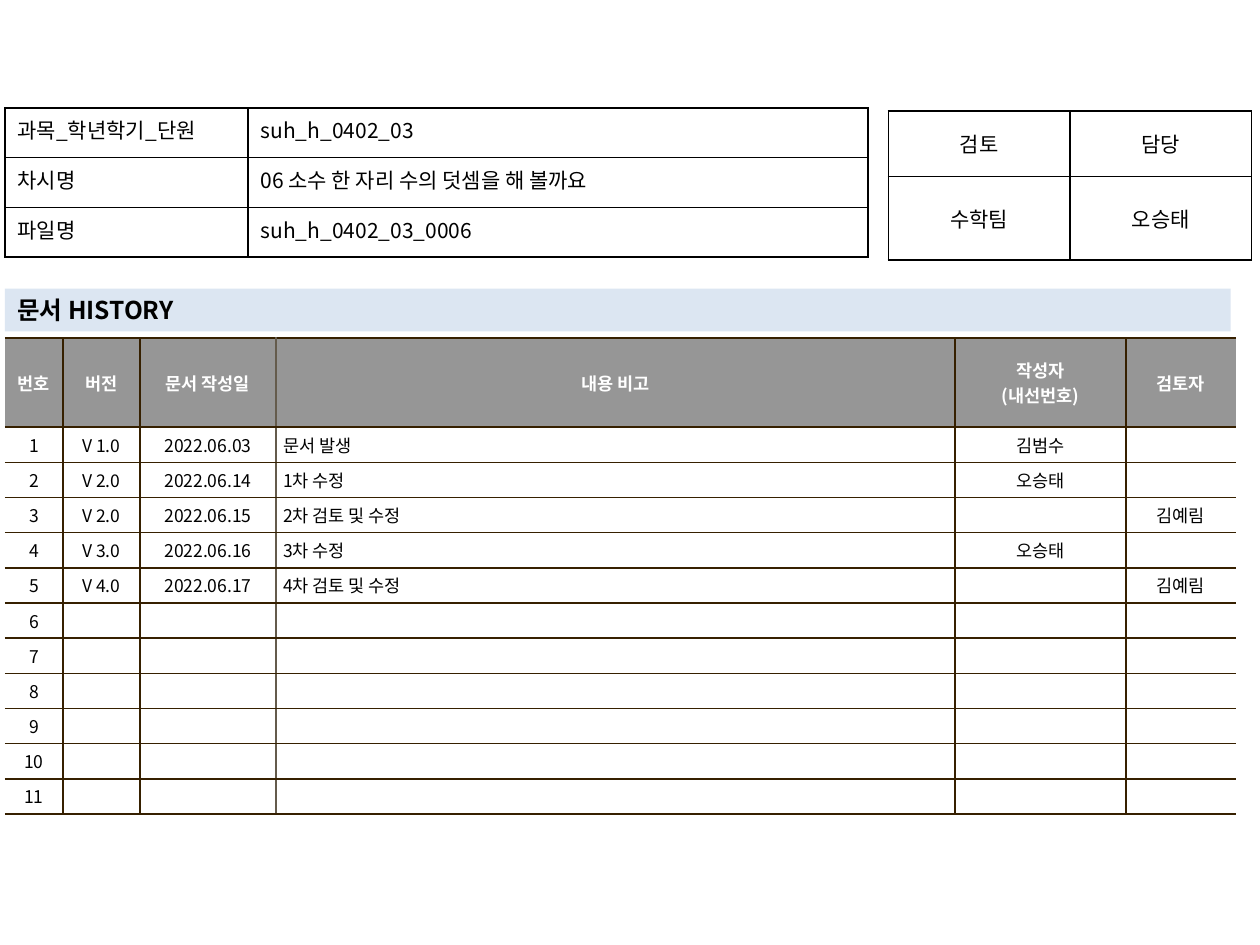
from lxml.etree import SubElement
from pptx import Presentation
from pptx.dml.color import RGBColor
from pptx.enum.shapes import MSO_SHAPE as Shape
from pptx.enum.text import MSO_ANCHOR as Anchor, PP_ALIGN as Align
from pptx.oxml.ns import qn
from pptx.util import Cm, Pt

FONT = "Noto Sans CJK KR"
BLACK = RGBColor(0x00, 0x00, 0x00)
WHITE = RGBColor(0xFF, 0xFF, 0xFF)
GRAY = RGBColor(0x96, 0x96, 0x96)
PALE_BLUE = RGBColor(0xDC, 0xE6, 0xF2)
BROWN = RGBColor(0x36, 0x20, 0x00)
TAUPE = RGBColor(0x64, 0x5B, 0x4C)

INFO = [
    ("과목_학년학기_단원", "suh_h_0402_03"),
    ("차시명", "06 소수 한 자리 수의 덧셈을 해 볼까요"),
    ("파일명", "suh_h_0402_03_0006"),
]
REVIEW = [("검토", "담당"), ("수학팀", "오승태")]
HEADINGS = ("번호", "버전", "문서 작성일", "내용 비고", "작성자\n(내선번호)", "검토자")
REVISIONS = [
    ("V 1.0", "2022.06.03", "문서 발생", "김범수", ""),
    ("V 2.0", "2022.06.14", "1차 수정", "오승태", ""),
    ("V 2.0", "2022.06.15", "2차 검토 및 수정", "", "김예림"),
    ("V 3.0", "2022.06.16", "3차 수정", "오승태", ""),
    ("V 4.0", "2022.06.17", "4차 검토 및 수정", "", "김예림"),
]
HISTORY_ROWS = 11


def write(frame, text, size=12, color=BLACK, bold=False, align=Align.LEFT):
    for index, line in enumerate(text.split("\n")):
        paragraph = frame.add_paragraph() if index else frame.paragraphs[0]
        paragraph.alignment = align
        if not line:
            SubElement(paragraph._p, qn("a:endParaRPr"), sz=str(size * 100))
            continue
        run = paragraph.add_run()
        run.text = line
        run.font.size = Pt(size)
        run.font.bold = bold
        run.font.name = FONT
        run.font.color.rgb = color
        SubElement(run._r.get_or_add_rPr(), qn("a:ea"), typeface=FONT)


def set_borders(cell, left, right, top, bottom):
    properties = cell._tc.get_or_add_tcPr()
    for side, color in zip("LRTB", (left, right, top, bottom)):
        line = SubElement(properties, qn(f"a:ln{side}"), w=str(Pt(1)))
        if color is None:
            SubElement(line, qn("a:noFill"))
        else:
            fill = SubElement(line, qn("a:solidFill"))
            SubElement(fill, qn("a:srgbClr"), val=str(color))


def add_grid(slide, left, top, widths, heights):
    grid = slide.shapes.add_table(
        len(heights), len(widths), Cm(left), Cm(top), Cm(sum(widths)), Cm(sum(heights))
    ).table
    grid.first_row = grid.horz_banding = False
    for column, width in zip(grid.columns, widths):
        column.width = Cm(width)
    for row, height in zip(grid.rows, heights):
        row.height = Cm(height)
    return grid


def add_black_grid(slide, left, top, widths, heights, content, aligns, anchor):
    grid = add_grid(slide, left, top, widths, heights)
    for r, texts in enumerate(content):
        for c, text in enumerate(texts):
            cell = grid.cell(r, c)
            set_borders(cell, BLACK, BLACK, BLACK, BLACK)
            cell.fill.background()
            cell.vertical_anchor = anchor
            write(cell.text_frame, text, align=aligns[c])


def add_info(slide, left, top, width, height):
    label_width = 4.9
    add_black_grid(slide, left, top, [label_width, width - label_width],
                   [height / len(INFO)] * len(INFO), INFO,
                   (Align.JUSTIFY, Align.LEFT), Anchor.TOP)


def add_review(slide, left, top, width, height):
    heading_height = 1.32
    add_black_grid(slide, left, top, [width / 2] * 2,
                   [heading_height, height - heading_height], REVIEW,
                   (Align.CENTER, Align.CENTER), Anchor.MIDDLE)


def add_banner(slide, left, top, width, height):
    banner = slide.shapes.add_shape(
        Shape.RECTANGLE, Cm(left), Cm(top), Cm(width), Cm(height))
    banner.shadow.inherit = False
    banner.fill.solid()
    banner.fill.fore_color.rgb = PALE_BLUE
    banner.line.fill.background()
    banner.text_frame.word_wrap = True
    banner.text_frame.vertical_anchor = Anchor.MIDDLE
    write(banner.text_frame, "문서 HISTORY", size=14, bold=True)


def add_history(slide, left, top, width, height):
    widths = [1.17, 1.55, 2.74, 13.69, 3.45]
    widths.append(width - sum(widths))
    heading_height = 1.8
    row_height = (height - heading_height) / HISTORY_ROWS
    grid = add_grid(slide, left, top, widths,
                    [heading_height] + [row_height] * HISTORY_ROWS)
    unused = [("",) * 5] * (HISTORY_ROWS - len(REVISIONS))
    entries = [(str(number), *entry)
               for number, entry in enumerate(REVISIONS + unused, 1)]
    verticals = [None, BROWN, BROWN, TAUPE, BROWN, BROWN, None]
    for r, texts in enumerate([HEADINGS] + entries):
        heading = r == 0
        for c, text in enumerate(texts):
            cell = grid.cell(r, c)
            set_borders(cell, verticals[c], verticals[c + 1], BROWN, BROWN)
            cell.fill.solid()
            cell.fill.fore_color.rgb = GRAY if heading else WHITE
            cell.vertical_anchor = Anchor.MIDDLE
            cell.margin_left = cell.margin_right = Cm(0.15)
            cell.margin_top = cell.margin_bottom = Cm(0.1)
            write(cell.text_frame, text, size=10, bold=heading,
                  color=WHITE if heading else BLACK,
                  align=Align.LEFT if c == 3 and not heading else Align.CENTER)


def main():
    deck = Presentation()
    deck.slide_width, deck.slide_height = Cm(25.4), Cm(19.05)
    slide = deck.slides.add_slide(deck.slide_layouts[6])
    add_history(slide, 0.1, 6.81, 24.81, 8.73)
    add_review(slide, 17.91, 2.24, 7.32, 3)
    add_banner(slide, 0.1, 5.82, 24.71, 0.86)
    add_info(slide, 0.1, 2.18, 17.4, 3)
    deck.save("out.pptx")


if __name__ == "__main__":
    main()
